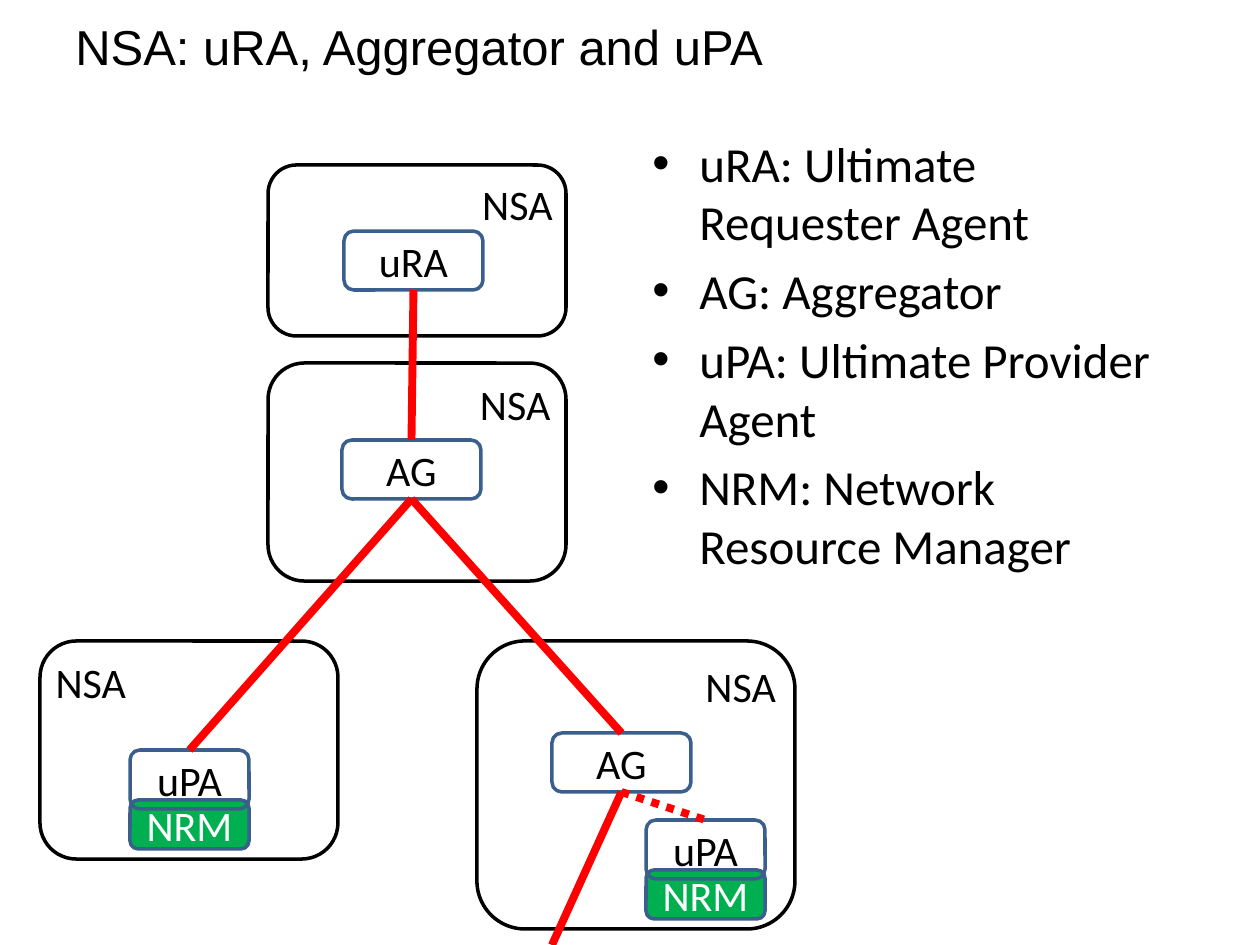
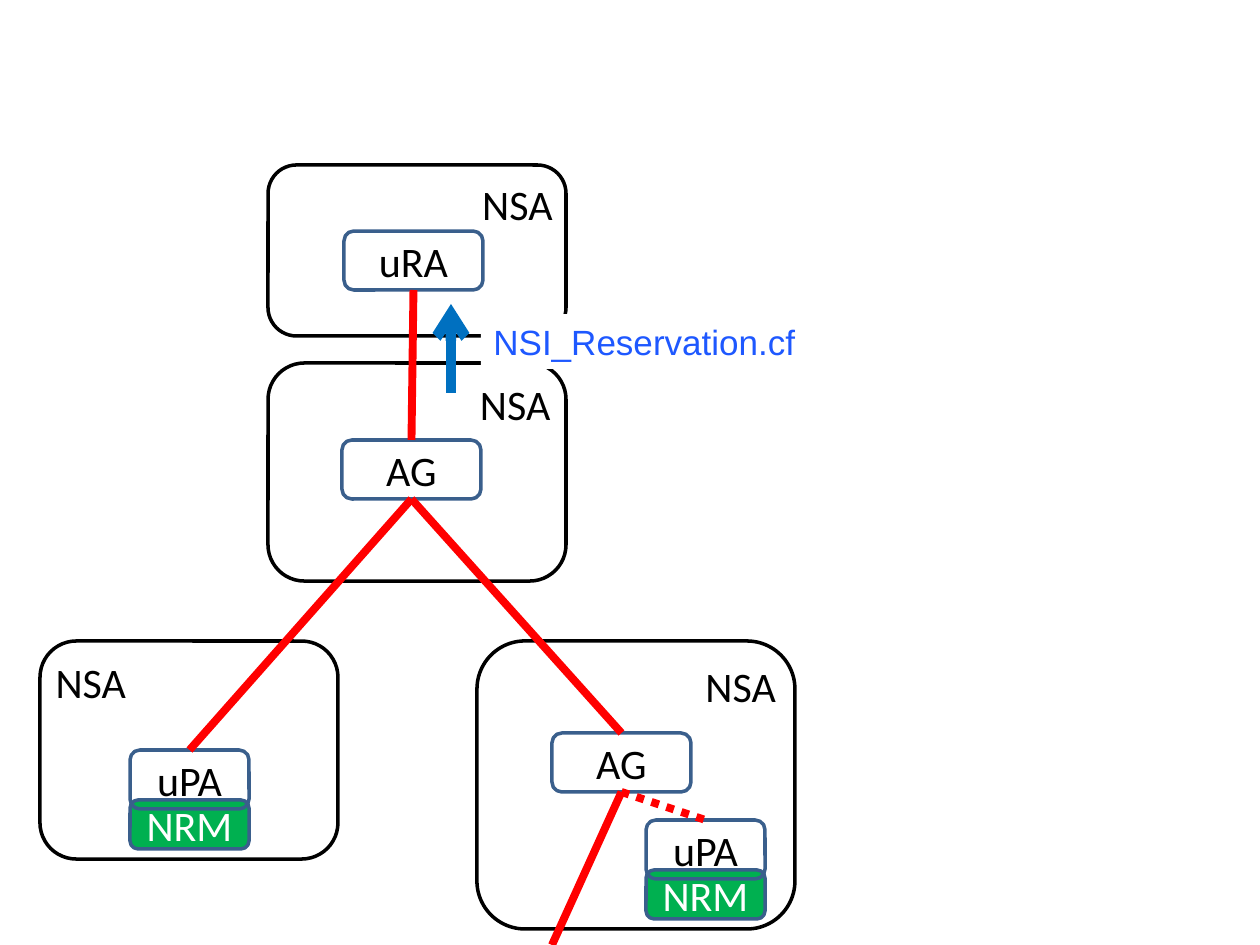
from collections import namedtuple

from lxml.etree import SubElement
from pptx import Presentation
from pptx.dml.color import RGBColor
from pptx.enum.dml import MSO_LINE
from pptx.enum.shapes import MSO_CONNECTOR, MSO_SHAPE
from pptx.enum.text import MSO_ANCHOR, PP_ALIGN
from pptx.oxml.ns import qn
from pptx.util import Emu, Pt

PX_PER_INCH = 126
COLOURS = {
    "text": "000000",
    "white": "FFFFFF",
    "frame": "000000",
    "node": "3A5F8C",
    "manager": "00B050",
    "link": "FF0000",
    "arrow": "0070C0",
    "message": "1E58FF",
}
Box = namedtuple("Box", "left top width height")

NSA_FRAMES = [
    (Box(268, 165, 298, 171), PP_ALIGN.RIGHT),
    (Box(268, 363, 298, 218), PP_ALIGN.RIGHT),
    (Box(40, 641, 298, 218), PP_ALIGN.LEFT),
    (Box(477, 641, 318, 288), PP_ALIGN.RIGHT),
]
REQUESTER = Box(344, 231, 139, 59)
AGGREGATOR = Box(342, 440, 139, 59)
LOWER_AGGREGATOR = Box(552, 733, 139, 59)
PROVIDER = Box(130, 750, 119, 59)
LOWER_PROVIDER = Box(646, 820, 119, 59)
MANAGER_DROP = 50
MANAGER_HEIGHT = 49
LINK_EXIT = (552, 945)
TERMS = [
    "uRA: Ultimate Requester Agent",
    "AG: Aggregator",
    "uPA: Ultimate Provider Agent",
    "NRM: Network Resource Manager",
]


def px(length):
    """Turn pixels into EMU."""
    return Emu(round(length * 914400 / PX_PER_INCH))


def rgb(name):
    """Look up a named colour."""
    return RGBColor.from_string(COLOURS[name])


def top_of(box):
    """Give the middle of the upper edge of a box."""
    return box.left + box.width / 2, box.top


def bottom_of(box):
    """Give the middle of the lower edge of a box."""
    return box.left + box.width / 2, box.top + box.height


def add_bullet(paragraph, indent):
    """Give a paragraph a round bullet with a hanging indent."""
    properties = paragraph._p.get_or_add_pPr()
    properties.set("marL", str(px(indent)))
    properties.set("indent", str(-px(indent)))
    SubElement(properties, qn("a:buFont"), typeface="Arial")
    SubElement(properties, qn("a:buChar"), char="•")


def write_text(shape, *lines, size=24, font="Calibri", colour="text", align=PP_ALIGN.LEFT,
               anchor=MSO_ANCHOR.TOP, inset=None, wrap=True, indent=0, space=0):
    """Write one paragraph for each line in the given format."""
    frame = shape.text_frame
    frame.word_wrap = wrap
    frame.vertical_anchor = anchor
    if inset is not None:
        frame.margin_left = frame.margin_right = px(inset)
        frame.margin_top = frame.margin_bottom = px(inset)
    for index, line in enumerate(lines):
        paragraph = frame.add_paragraph() if index else frame.paragraphs[0]
        paragraph.text = line
        paragraph.alignment = align
        if index and space:
            paragraph.space_before = Pt(space)
        if indent:
            add_bullet(paragraph, indent)
        paragraph.font.size = Pt(size)
        paragraph.font.name = font
        paragraph.font.color.rgb = rgb(colour)


def add_box(slide, box, preset=MSO_SHAPE.ROUNDED_RECTANGLE, fill=None, line=None):
    """Add a preset shape with an optional fill and outline."""
    shape = slide.shapes.add_shape(preset, *map(px, box))
    shape.shadow.inherit = False
    if fill:
        shape.fill.solid()
        shape.fill.fore_color.rgb = rgb(fill)
    else:
        shape.fill.background()
    if line:
        shape.line.color.rgb = rgb(line)
        shape.line.width = Pt(2)
    else:
        shape.line.fill.background()
    return shape


def add_frame(slide, box, align):
    """Add the outline of one NSA."""
    write_text(add_box(slide, box, line="frame"), "NSA", align=align, inset=5)


def add_node(slide, box, name, fill=None, colour="text"):
    """Add a named agent or manager."""
    shape = add_box(slide, box, fill=fill, line="node")
    write_text(shape, name, colour=colour, align=PP_ALIGN.CENTER,
               anchor=MSO_ANCHOR.MIDDLE, inset=5)


def add_provider(slide, box):
    """Add a provider agent overlapping its resource manager."""
    manager = box._replace(top=box.top + MANAGER_DROP, height=MANAGER_HEIGHT)
    add_node(slide, manager, "NRM", fill="manager", colour="white")
    add_node(slide, box, "uPA")


def add_line(slide, start, end, colour="link", width=4.5, dash=None, arrow=False):
    """Add a straight line, optionally dotted or with an arrowhead."""
    connector = slide.shapes.add_connector(
        MSO_CONNECTOR.STRAIGHT, *map(px, (*start, *end)))
    connector.line.color.rgb = rgb(colour)
    connector.line.width = Pt(width)
    if dash:
        connector.line.dash_style = dash
    if arrow:
        SubElement(connector.line._get_or_add_ln(), qn("a:tailEnd"), type="arrow")
    SubElement(connector._element.spPr, qn("a:effectLst"))


def add_agent_tree(slide):
    """Draw the tree of agents shared by the slides."""
    for box, align in NSA_FRAMES:
        add_frame(slide, box, align)
    for box in (LOWER_PROVIDER, PROVIDER):
        add_provider(slide, box)
    add_node(slide, REQUESTER, "uRA")
    for box in (AGGREGATOR, LOWER_AGGREGATOR):
        add_node(slide, box, "AG")
    for upper, end in [
        (REQUESTER, top_of(AGGREGATOR)),
        (AGGREGATOR, top_of(PROVIDER)),
        (AGGREGATOR, top_of(LOWER_AGGREGATOR)),
        (LOWER_AGGREGATOR, LINK_EXIT),
    ]:
        add_line(slide, bottom_of(upper), end)
    add_line(slide, bottom_of(LOWER_AGGREGATOR), top_of(LOWER_PROVIDER),
             dash=MSO_LINE.ROUND_DOT)


def add_text(slide, box, *lines, **text_format):
    """Add a text box."""
    write_text(slide.shapes.add_textbox(*map(px, box)), *lines, **text_format)


def add_tree_slide(presentation):
    """Add a blank slide holding the agent tree."""
    slide = presentation.slides.add_slide(presentation.slide_layouts[6])
    add_agent_tree(slide)
    return slide


def add_terms(slide):
    """Add the title and the list of agent names."""
    add_text(slide, Box(63, 10, 1134, 118), "NSA: uRA, Aggregator and uPA",
             size=28, font="Arial")
    add_text(slide, Box(640, 127, 557, 466), *TERMS, size=28, indent=47, space=5.6)


def add_message(slide):
    """Add the reservation message sent up to the requester."""
    add_line(slide, (451, 393), (451, 304), colour="arrow", width=6, arrow=True)
    label = add_box(slide, Box(481, 314, 330, 55), MSO_SHAPE.RECTANGLE, fill="white")
    write_text(label, "NSI_Reservation.cf", size=20, font="Arial",
               colour="message", wrap=False)


def main():
    """Build and save the presentation."""
    presentation = Presentation()
    presentation.slide_width = px(1260)
    presentation.slide_height = px(945)
    add_terms(add_tree_slide(presentation))
    add_message(add_tree_slide(presentation))
    presentation.save("out.pptx")


if __name__ == "__main__":
    main()
